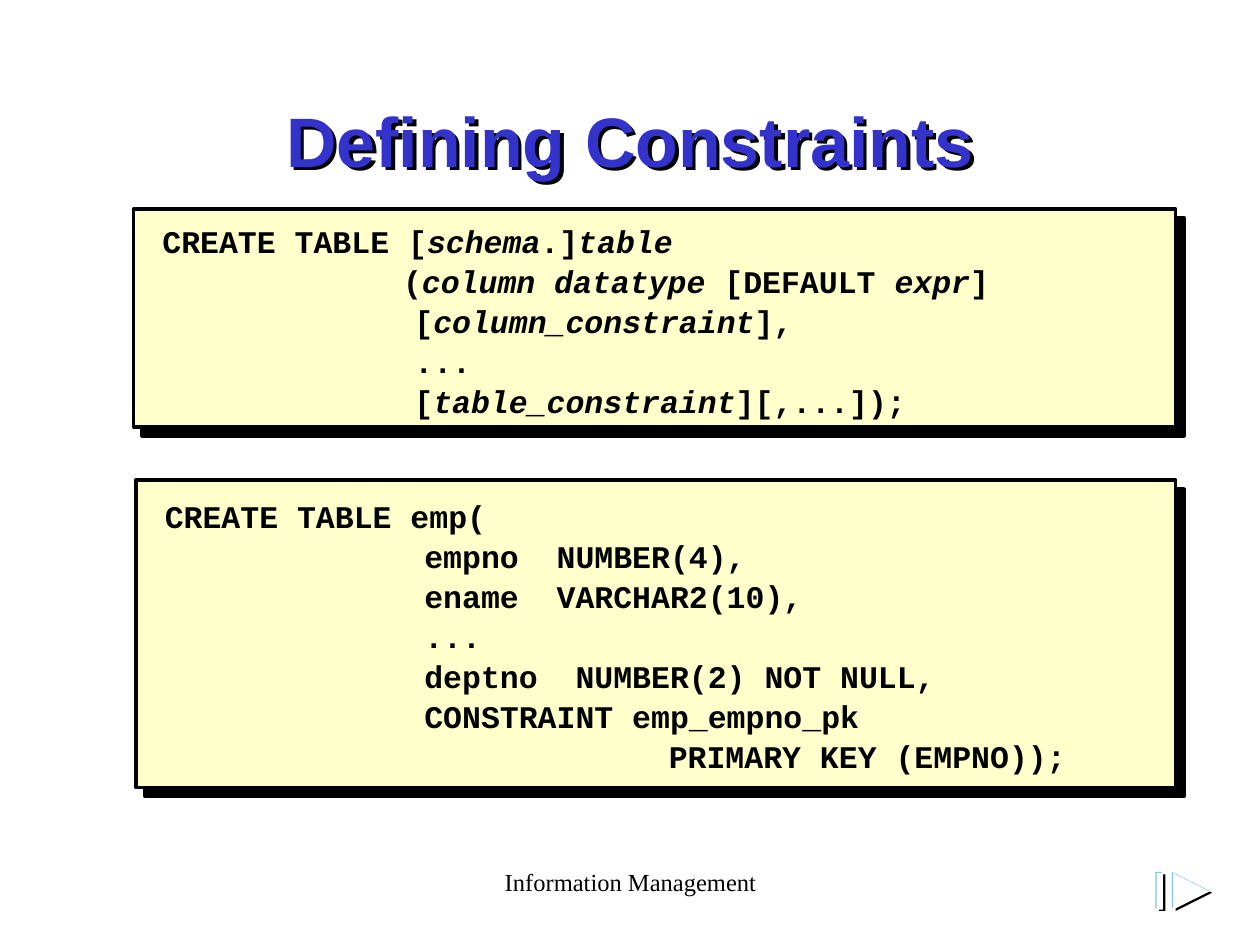
from lxml.etree import SubElement as Sub
from pptx import Presentation
from pptx.dml.color import RGBColor
from pptx.enum.shapes import MSO_SHAPE as Kind
from pptx.enum.text import MSO_ANCHOR as Anchor, PP_ALIGN as Align
from pptx.oxml.ns import qn
from pptx.util import Inches, Pt

BLACK = RGBColor(0, 0, 0)
WHITE = RGBColor(255, 255, 255)
CREAM = RGBColor(0xFF, 0xFF, 0xCC)
BLUE = RGBColor(0x33, 0x33, 0xCC)
SKY = RGBColor(0x7F, 0xC1, 0xEB)

SYNTAX = [
    (0, "CREATE TABLE [|schema|.]|table"),
    (1.91, "(|column datatype| [DEFAULT |expr|]"),
    (2, "[|column_constraint|],"),
    (2, "..."),
    (2, "[|table_constraint|][,...]);"),
]
SAMPLE = [
    (0, "CREATE TABLE emp("),
    (2.06, "empno  NUMBER(4),"),
    (2.06, "ename  VARCHAR2(10),"),
    (2.06, "..."),
    (2.06, "deptno  NUMBER(2) NOT NULL,"),
    (2.06, "CONSTRAINT emp_empno_pk"),
    (4, "PRIMARY KEY (EMPNO));"),
]
LAYERS = [(0.03, 0.02, BLACK), (0, 0, SKY), (0.01, 0.01, WHITE)]


class Deck:
    head, code, body = "Arial", "Courier New", "Times New Roman"

    def __init__(self):
        self.prs = Presentation()
        self.prs.slide_width, self.prs.slide_height = Inches(10), Inches(7.5)
        self.slide = self.prs.slides.add_slide(self.prs.slide_layouts[5])
        self.shapes = self.slide.shapes

    def group(self):
        return self.shapes.add_group_shape().shapes

    def style(self, font, name, size, color, bold=False, slant=False):
        font.name, font.size = name, Pt(size)
        font.bold, font.italic = bold, slant
        font.color.rgb = color

    def shade(self, shape, dist):
        shape.shadow.inherit = False
        glow = shape._element.spPr.find(qn("a:effectLst"))
        drop = Sub(glow, qn("a:outerShdw"), dist=str(Pt(dist)),
                   dir="2700000", algn="ctr", rotWithShape="0")
        Sub(drop, qn("a:srgbClr"), val=str(BLACK))

    def paint(self, shape, color):
        shape.shadow.inherit = False
        shape.fill.solid()
        shape.fill.fore_color.rgb = color
        shape.line.fill.background()

    def title(self, text, *box):
        shape = self.shapes.title
        shape.left, shape.top, shape.width, shape.height = map(Inches, box)
        frame = shape.text_frame
        frame.text = text
        frame.vertical_anchor = Anchor.TOP
        frame.margin_top = Inches(0.1)
        line = frame.paragraphs[0]
        line.alignment = Align.CENTER
        self.style(line.runs[0].font, self.head, 40, BLUE, True)
        self.shade(shape, 3)

    def label(self, text, *box):
        frame = self.shapes.add_textbox(*map(Inches, box)).text_frame
        frame.word_wrap = True
        frame.text = text
        line = frame.paragraphs[0]
        line.alignment = Align.CENTER
        self.style(line.runs[0].font, self.body, 14, BLACK)

    def panel(self, lines, left, top, width, height):
        group = self.group()
        box = group.add_shape(Kind.RECTANGLE,
                              *map(Inches, (left, top, width, height)))
        self.paint(box, CREAM)
        box.line.color.rgb, box.line.width = BLACK, Pt(2)
        self.shade(box, 7.1)
        area = (left + 0.13, top, width + 0.08, height + 0.02)
        frame = group.add_textbox(*map(Inches, area)).text_frame
        frame.word_wrap = True
        frame.vertical_anchor = Anchor.MIDDLE
        for row, (indent, text) in enumerate(lines):
            line = frame.add_paragraph() if row else frame.paragraphs[0]
            line.line_spacing = 1.06
            line._p.get_or_add_pPr().set("marL", str(Inches(indent)))
            for spot, part in enumerate(text.split("|")):
                if part:
                    run = line.add_run()
                    run.text = part
                    self.style(run.font, self.code, 18, BLACK, True,
                               spot % 2 == 1)

    def icon(self, left, top, size):
        group = self.group()
        for dx, dy, color in LAYERS:
            bar = group.add_shape(Kind.RECTANGLE, Inches(left + dx),
                                  Inches(top + dy), Inches(0.05), Inches(size))
            self.paint(bar, color)
        for dx, dy, color in LAYERS:
            x, y = left + 0.13 + dx, top + dy
            tip = (Inches(x + size), Inches(y + size / 2))
            pen = group.build_freeform(*tip)
            pen.add_line_segments([(Inches(x), Inches(y)),
                                   (Inches(x), Inches(y + size))])
            self.paint(pen.convert_to_shape(), color)


def main():
    deck = Deck()
    deck.label("Information Management", 3.42, 6.83, 3.17, 0.5)
    deck.title("Defining Constraints", 0.75, 0.67, 8.5, 1.25)
    deck.panel(SYNTAX, 1.06, 1.66, 8.27, 1.73)
    deck.panel(SAMPLE, 1.08, 3.81, 8.25, 2.44)
    deck.icon(9.17, 6.92, 0.29)
    deck.prs.save("out.pptx")


if __name__ == "__main__":
    main()
